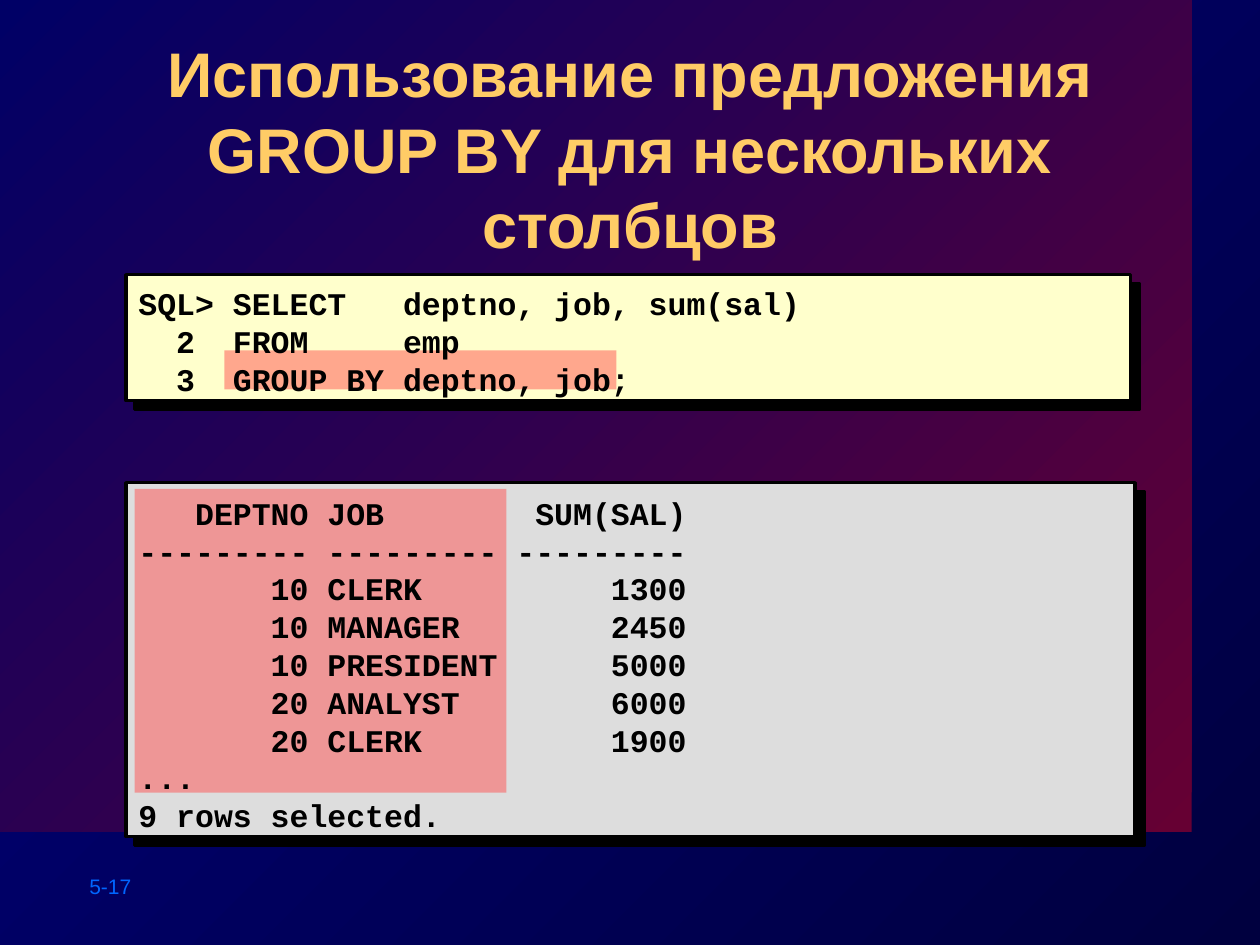
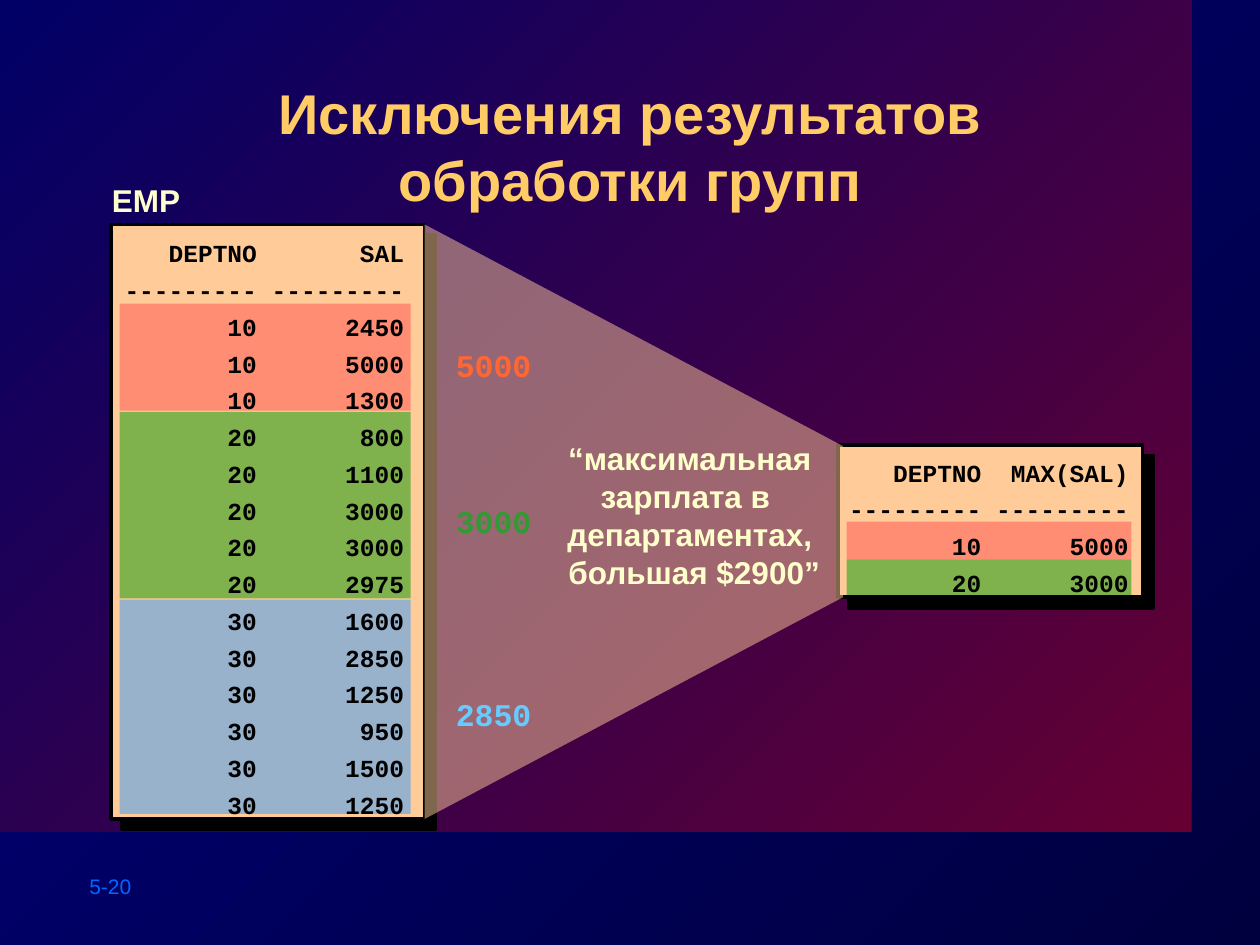
from lxml import etree
from pptx import Presentation
from pptx import util as u
from pptx.dml.color import RGBColor
from pptx.enum import shapes, text
from pptx.oxml import parse_xml
from pptx.oxml.ns import nsdecls, qn

Pt = u.Pt
C = {
    "bg_dark": "00003F", "bg_light": "000080", "wine": "660033", "navy": "000066",
    "title": "FFCC66", "page": "0066FF", "cream": "FFFFCC", "gray": "DDDDDD",
    "peach": "FFCC99", "black": "000000", "red": "FF5050", "green": "009900",
    "blue": "3399FF", "max_10": "FF6633", "max_20": "339933", "max_30": "66CCFF",
}
SANS, MONO = "Arial", "Courier New"
DROP = {SANS: 0.03, MONO: 0.12}  # baseline shift as a share of the text size


def paint(sp, fill, alpha=None, shadow=None):
    """Solid fill; alpha in percent without outline, shadow distance with one."""
    sp.shadow.inherit = False
    sp.fill.solid()
    sp.fill.fore_color.rgb = RGBColor.from_string(C[fill])
    if alpha:
        clr = sp._element.spPr.find(qn("a:solidFill"))[0]
        etree.SubElement(clr, qn("a:alpha")).set("val", str(alpha * 1000))
    if shadow:
        sp.line.color.rgb = RGBColor.from_string(C["black"])
        sp.line.width = Pt(2)
        sp._element.spPr.find(qn("a:effectLst")).append(parse_xml(
            f'<a:outerShdw {nsdecls("a")} dist="{Pt(shadow)}" dir="2700000" algn="ctr" '
            f'rotWithShape="0"><a:srgbClr val="{C["black"]}"/></a:outerShdw>'))
    else:
        sp.line.fill.background()


def write(sp, lines, size, font, color, bold=True, spacing=1.2, align=None,
          anchor=text.MSO_ANCHOR.TOP):
    """Fill a text shape, one paragraph per line; a newline is a line break."""
    sp.top = sp.top + Pt(round(size * DROP[font], 1))
    tf = sp.text_frame
    tf.word_wrap = True
    tf.auto_size = text.MSO_AUTO_SIZE.NONE
    tf.vertical_anchor = anchor
    for i, line in enumerate(lines):
        p = tf.paragraphs[0] if i == 0 else tf.add_paragraph()
        p.alignment = align
        p.line_spacing = Pt(round(size * spacing, 1))
        for j, part in enumerate(line.split("\n")):
            if j:
                p.add_line_break()
            r = p.add_run()
            r.text = part
            r.font.size, r.font.bold, r.font.name = Pt(size), bold, font
            r.font.color.rgb = RGBColor.from_string(C[color])


prs = Presentation()
prs.slide_width, prs.slide_height = Pt(720), Pt(540)
RECT = shapes.MSO_SHAPE.RECTANGLE
CENTER = text.PP_ALIGN.CENTER

# Slides with title and page number
pages = [
    ("Использование предложения GROUP BY для нескольких столбцов", 36, 15, "5-17"),
    ("Исключения результатов обработки групп", 32, 40.3, "5-20"),
]
for title, size, top, number in pages:
    s = prs.slides.add_slide(prs.slide_layouts[5])
    sp = s.shapes.title
    sp.left, sp.top, sp.width, sp.height = Pt(72.7), Pt(top), Pt(574.6), Pt(69)
    write(sp, [title], size, SANS, "title", align=CENTER)
    fill = sp.text_frame.paragraphs[0].runs[0].font._element.find(qn("a:solidFill"))
    fill.addnext(parse_xml(
        f'<a:effectLst {nsdecls("a")}><a:outerShdw dist="38100" dir="2700000">'
        f'<a:srgbClr val="{C["black"]}"/></a:outerShdw></a:effectLst>'))
    sp = s.shapes.add_textbox(Pt(44), Pt(495.4), Pt(80), Pt(22))
    write(sp, [number], 12, SANS, "page", bold=False)
query, having = prs.slides

# Gradient background and band on the master
master = prs.slide_master
band = query.shapes.add_shape(RECT, 0, 0, Pt(681), Pt(475.2))
band.shadow.inherit = False
band.line.fill.background()
for fill, colors in ((master.background.fill, ("bg_dark", "bg_light")),
                     (band.fill, ("wine", "navy"))):
    fill.gradient()
    fill.gradient_angle = 135
    for stop, color in zip(fill.gradient_stops, colors):
        stop.color.rgb = RGBColor.from_string(C[color])
master.shapes._spTree.insert(2, band._element)

# Slide 1: query and its output
for color, alpha, shadow, box in [
    ("cream", None, 7.1, (72, 157, 574, 72)),
    ("gray", None, 7.1, (72, 275.8, 576.7, 202.3)),
    ("red", 50, None, (128.2, 200.2, 224, 22.3)),
    ("red", 50, None, (77, 279.4, 212.4, 173.5)),
]:
    paint(query.shapes.add_shape(RECT, *map(Pt, box)), color, alpha, shadow)

sql = ["SQL> SELECT   deptno, job, sum(sal)",
       "  2  FROM     emp",
       "  3  GROUP BY deptno, job;"]
jobs = [(10, "CLERK", 1300), (10, "MANAGER", 2450), (10, "PRESIDENT", 5000),
        (20, "ANALYST", 6000), (20, "CLERK", 1900)]
rule = "-" * 9
output = [f"{a:>9} {b:<9} {c:>9}"
          for a, b, c in [("DEPTNO", "JOB", "SUM(SAL)"), (rule, rule, rule)] + jobs]
output += ["...", "9 rows selected."]
for lines, top, height in ((sql, 155.5, 74.2), (output, 275, 204.5)):
    sp = query.shapes.add_textbox(Pt(72), Pt(top), Pt(577), Pt(height))
    write(sp, lines, 18, MONO, "black", anchor=text.MSO_ANCHOR.MIDDLE)

# Slide 2: panels and the funnel between them
for box in ((478.8, 254.2, 174.2, 87.1), (63.4, 128.2, 179.3, 339.8)):
    paint(having.shapes.add_shape(RECT, *map(Pt, box)), "peach", shadow=8.5)
fb = having.shapes.build_freeform(Pt(242.6), Pt(468))
fb.add_line_segments([(Pt(x), Pt(y)) for x, y in
                      ((242.6, 128.2), (481.7, 254.9), (481.7, 341.3))], close=True)
paint(fb.convert_to_shape(), "peach", alpha=50)

# Department bands in both panels
for color, left, width, top, height in [
    ("red", 68.4, 166.3, 173.5, 61.2),
    ("green", 68.4, 166.3, 235.4, 106.6),
    ("blue", 68.4, 166.3, 342.7, 122.4),
    ("red", 483.8, 162.7, 298.1, 21.6),
    ("green", 483.8, 162.7, 319.7, 20.2),
]:
    sp = having.shapes.add_shape(RECT, Pt(left), Pt(top), Pt(width), Pt(height))
    paint(sp, color, alpha=50)

# Rows of both panels
salaries = {10: (2450, 5000, 1300), 20: (800, 1100, 3000, 3000, 2975),
            30: (1600, 2850, 1250, 950, 1500, 1250)}
emp = [(dept, sal) for dept, sals in salaries.items() for sal in sals]
for head, rows, left, top in (("SAL", emp, 64.1, 126.7),
                              ("MAX(SAL)", [(10, 5000), (20, 3000)], 478.1, 252)):
    lines = [f"{a:>9} {b:>9}" for a, b in [("DEPTNO", head), (rule, rule)] + rows]
    sp = having.shapes.add_textbox(Pt(left), Pt(top), Pt(180), Pt(21 * len(lines) + 7.2))
    write(sp, lines, 14, MONO, "black", spacing=1.5)

# Maximum of each department
for value, color, top in (("5000", "max_10", 186.5), ("3000", "max_20", 275.8),
                          ("2850", "max_30", 385.9)):
    sp = having.shapes.add_textbox(Pt(253.4), Pt(top), Pt(64), Pt(34.6))
    write(sp, [value], 18, MONO, color, spacing=1.5)

# Captions
sp = having.shapes.add_textbox(Pt(56.9), Pt(99.4), Pt(70), Pt(28.8))
write(sp, ["EMP"], 18, SANS, "cream")
sp = having.shapes.add_textbox(Pt(305.3), Pt(247), Pt(177.8), Pt(93.6))
write(sp, ["“максимальная\nзарплата в ", "департаментах,", " большая $2900”"],
      18, SANS, "cream", align=CENTER)

prs.save("out.pptx")
